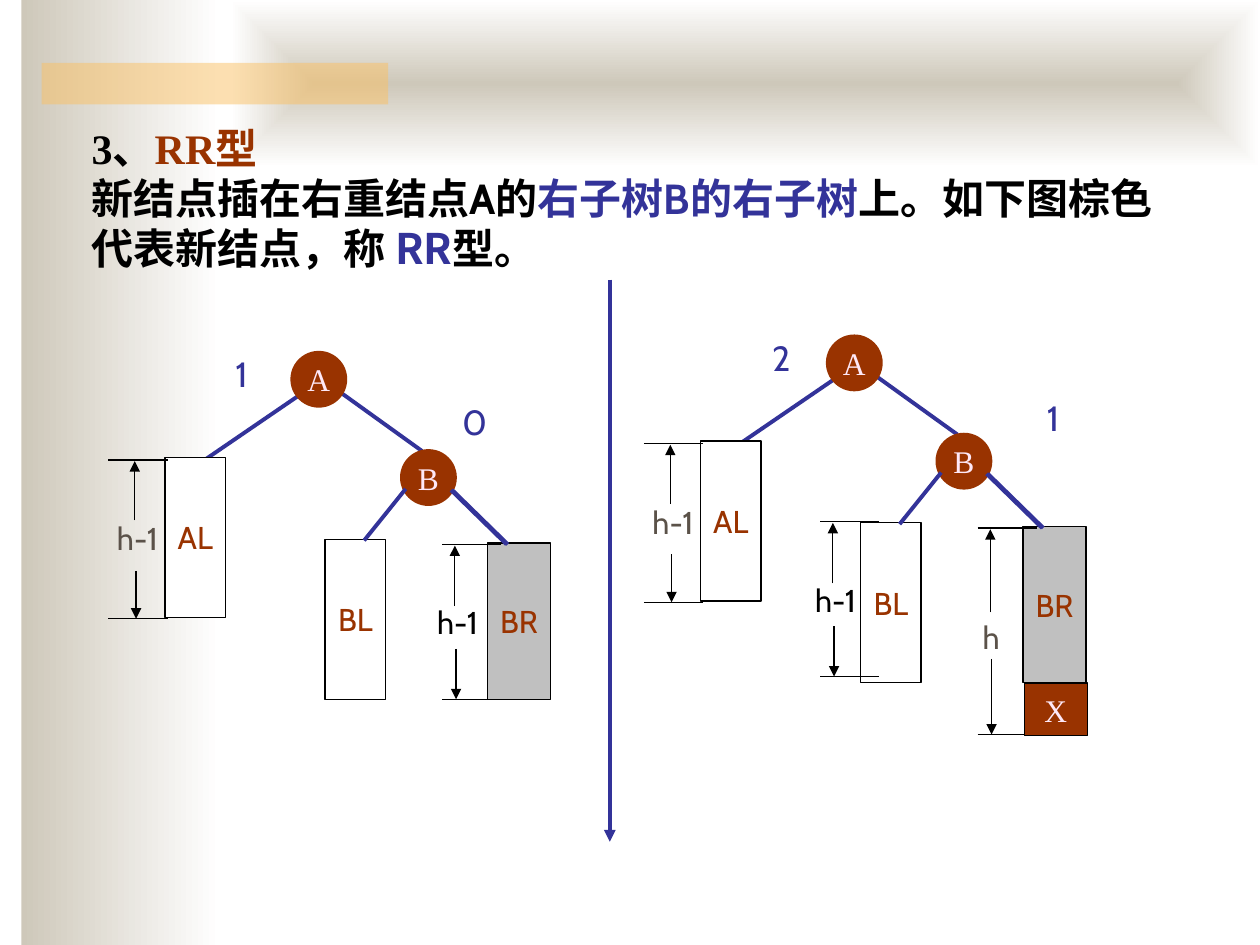
"""Build a slide that explains the RR case of AVL tree rotation."""
from lxml.etree import SubElement
from pptx import Presentation
from pptx.dml.color import RGBColor
from pptx.enum.shapes import MSO_CONNECTOR, MSO_SHAPE
from pptx.enum.text import MSO_ANCHOR, PP_ALIGN
from pptx.oxml.ns import qn
from pptx.util import Inches, Pt

BLACK = RGBColor(0x00, 0x00, 0x00)
WHITE = RGBColor(0xFF, 0xFF, 0xFF)
BROWN = RGBColor(0x99, 0x33, 0x00)
BLUE = RGBColor(0x33, 0x33, 0x99)
GRAY = RGBColor(0xC0, 0xC0, 0xC0)
STONE = RGBColor(0x5B, 0x52, 0x49)
SAND = RGBColor(0xCE, 0xC8, 0xBA)
GOLD = RGBColor(0xFA, 0xC1, 0x64)
PINK = RGBColor(0xFE, 0xE8, 0xF7)
SANS, SERIF, HAN = "Cabin", "Times New Roman", "Noto Sans CJK SC"


def write(frame, text, font=SANS, size=18, color=BLACK, bold=False):
    run = frame.paragraphs[0].add_run()
    run.text = text
    run.font.name = font
    run.font.size = Pt(size)
    run.font.bold = bold
    run.font.color.rgb = color
    SubElement(run.font._element, qn("a:ea"), typeface=HAN)


class Board:
    def __init__(self, slide):
        self.slide = slide

    def shape(self, x, y, w, h, fill=None, line=None, width=0.75, kind=MSO_SHAPE.RECTANGLE):
        item = self.slide.shapes.add_shape(kind, Inches(x), Inches(y), Inches(w), Inches(h))
        item.shadow.inherit = False
        if fill is None:
            item.fill.background()
        else:
            item.fill.solid()
            item.fill.fore_color.rgb = fill
        if line is None:
            item.line.fill.background()
        else:
            item.line.color.rgb = line
            item.line.width = Pt(width)
        return item

    def fade(self, x, y, w, h, center=False):
        item = self.shape(x, y, w, h)
        item.fill.gradient()
        for stop, color in zip(item.fill.gradient_stops, (SAND, WHITE)):
            stop.color.rgb = color
        item.fill.gradient_angle = 0
        if center:
            grad = item.element.spPr.find(qn("a:gradFill"))
            grad.remove(grad.find(qn("a:lin")))
            route = SubElement(grad, qn("a:path"), {"path": "shape"})
            SubElement(route, qn("a:fillToRect"), dict.fromkeys("ltrb", "50000"))

    def band(self, x, y, w, h, fill, alpha):
        item = self.shape(x, y, w, h, fill)
        tint = item.element.spPr.find(".//" + qn("a:srgbClr"))
        SubElement(tint, qn("a:alpha"), val=str(alpha * 1000))

    def label(self, item, text, **form):
        frame = item.text_frame
        frame.word_wrap = False
        frame.vertical_anchor = MSO_ANCHOR.MIDDLE
        frame.paragraphs[0].alignment = PP_ALIGN.CENTER
        write(frame, text, **form)

    def block(self, x, y, w, h, text, fill=None, **form):
        self.label(self.shape(x, y, w, h, fill, BLACK), text, **form)

    def node(self, x, y, text):
        item = self.shape(x, y, 0.42, 0.42, BROWN, BROWN, 2.25, MSO_SHAPE.OVAL)
        self.label(item, text, font=SERIF, color=PINK)

    def text(self, x, y, w, h):
        frame = self.slide.shapes.add_textbox(Inches(x), Inches(y), Inches(w), Inches(h)).text_frame
        frame.word_wrap = True
        return frame

    def note(self, x, y, text, w=0.71, h=0.4, **form):
        write(self.text(x, y, w, h), text, **form)

    def line(self, x1, y1, x2, y2, color=BLACK, width=0.75, arrow=False):
        item = self.slide.shapes.add_connector(
            MSO_CONNECTOR.STRAIGHT, Inches(x1), Inches(y1), Inches(x2), Inches(y2))
        item.line.color.rgb = color
        item.line.width = Pt(width)
        props = item.element.spPr
        if arrow:
            SubElement(props.find(qn("a:ln")), qn("a:tailEnd"), type="triangle")
        SubElement(props, qn("a:effectLst"))

    def span(self, x, top, end, up, down, axis, text, left, high, color, w=0.71):
        for y in (top, end):
            self.line(x, y, x + 0.47, y)
        self.note(x - left, high, text, w=w, color=color)
        self.line(x + axis, up, x + axis, top + 0.01, arrow=True)
        self.line(x + axis + 0.01, down, x + axis + 0.01, end, arrow=True)

    def edge(self, x1, y1, x2, y2, **form):
        self.line(x1, y1, x2, y2, BLUE, 2.25, **form)

    def tree(self, x, y):
        self.edge(x + 2.4, y + 3.12, x + 1.61, y + 3.66)
        self.edge(x + 2.71, y + 3.12, x + 3.35, y + 3.58)
        self.block(x + 1.31, y + 3.63, 0.48, 1.27, "AL", WHITE, color=BROWN)
        self.span(x + 0.86, y + 3.65, y + 4.91, y + 4.13, y + 4.53,
                  0.21, "h-1", 0.03, y + 4.07, STONE)
        self.block(x + 3.87, y + 4.31, 0.5, 1.24, "BR", GRAY, color=BROWN)
        self.node(x + 2.32, y + 2.8, "A")
        self.node(x + 3.19, y + 3.58, "B")
        self.block(x + 2.58, y + 4.28, 0.48, 1.27, "BL", color=BROWN)
        for shift in (0, 0.01):
            self.edge(x + 3.58 + shift, y + 3.89, x + 4.02 + shift, y + 4.32)
        self.edge(x + 3.22, y + 3.88, x + 2.89, y + 4.29)


def main():
    deck = Presentation()
    deck.slide_width, deck.slide_height = Inches(10), Inches(7.5)
    board = Board(deck.slides.add_slide(deck.slide_layouts[6]))

    board.fade(0.17, 0, 1.58, 7.5)
    board.fade(1.83, 0, 8.17, 1.33, center=True)
    board.band(0.33, 0.5, 2.75, 0.33, GOLD, 50)

    title = board.text(0.63, 0.92, 8.9, 1.31)
    for text, font, color in (("3、", SERIF, BLACK), ("RR", SERIF, BROWN), ("型", SANS, BROWN)):
        write(title, text, font=font, size=24, color=color, bold=True)
    title.paragraphs[0].add_line_break()
    for text, font, color in (
            ("新结点插在右重结点A的", SANS, BLACK),
            ("右子树B的右子树", SANS, BLUE),
            ("上。如下图棕色代表新结点，称 ", SANS, BLACK),
            ("RR", HAN, BLUE),
            ("型。", SANS, BLACK)):
        write(title, text, font=font, size=24, color=color, bold=True)

    for x, y in ((0, 0), (4.25, -0.13)):
        board.tree(x, y)
    board.edge(4.84, 2.22, 4.84, 6.68, arrow=True)
    board.span(3.51, 4.32, 5.55, 4.81, 5.15, 0.1, "h-1", 0.14, 4.74, BLACK)
    board.span(6.51, 4.14, 5.37, 4.63, 4.97, 0.1, "h-1", 0.14, 4.56, BLACK)
    board.span(7.76, 4.19, 5.83, 4.86, 5.23, 0.1, "h", 0.06, 4.86, STONE, w=0.46)
    board.block(8.13, 5.42, 0.5, 0.42, "X", BROWN, font=SERIF, color=PINK)
    for x, y, text in ((1.77, 2.75, "1"), (3.57, 3.13, "0"), (6.03, 2.62, "2"), (8.21, 3.1, "1")):
        board.note(x, y, text, w=0.55, h=0.43, size=20, color=BLUE)

    deck.save("out.pptx")


if __name__ == "__main__":
    main()
